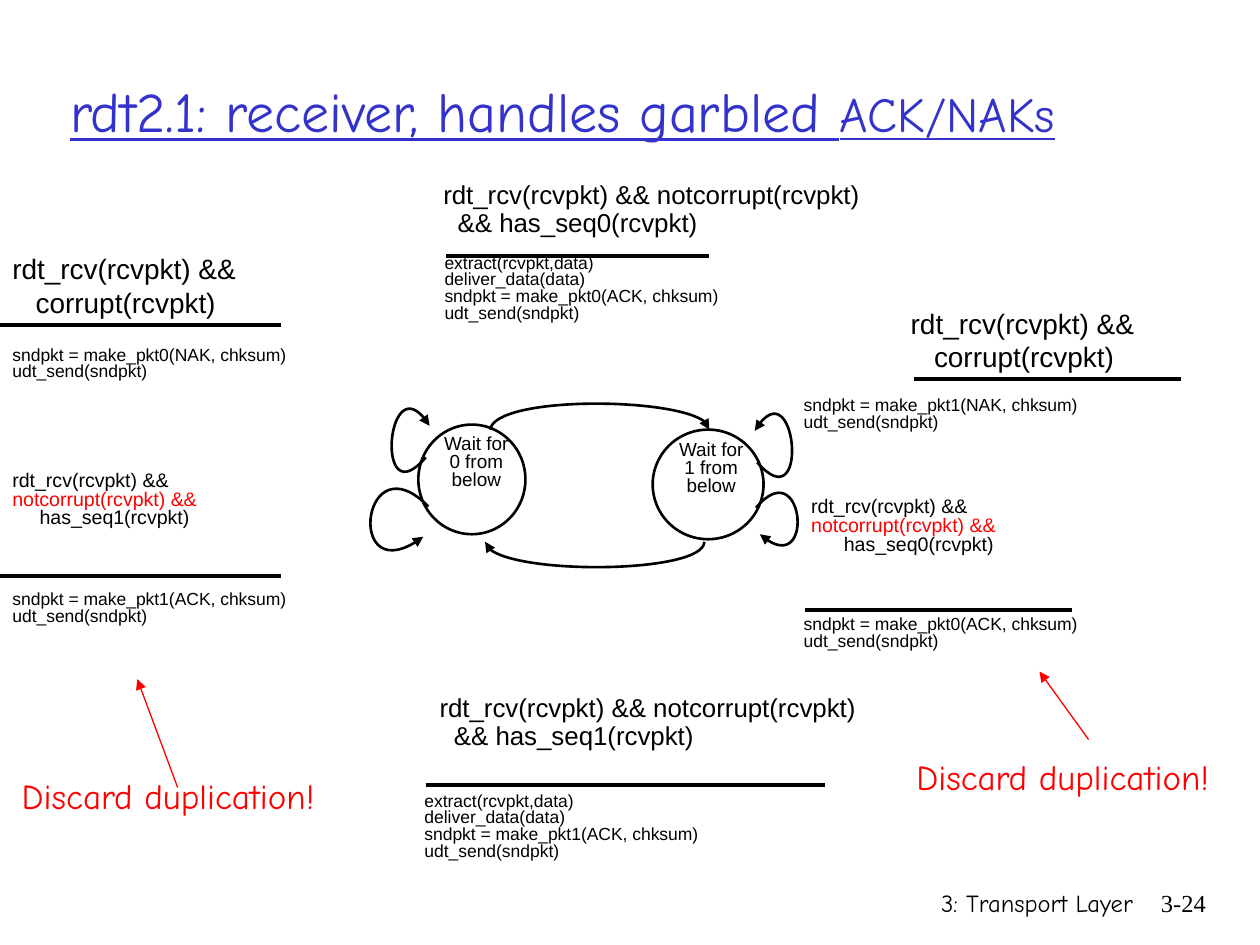
from lxml import etree
from pptx import Presentation
from pptx.dml.color import RGBColor
from pptx.enum.shapes import MSO_CONNECTOR, MSO_SHAPE
from pptx.enum.text import MSO_ANCHOR, PP_ALIGN
from pptx.oxml.ns import qn
from pptx.util import Inches, Pt

BLACK, WHITE, RED, BLUE = "000000", "FFFFFF", "FF0000", "3333CC"
BODY, HAND, SERIF = "Arial", "Comic Neue", "Times New Roman"


def color(hex_code):
    return RGBColor.from_string(hex_code)


def unit(count):
    """Length of a number of grid columns or rows (100 x 75 on the slide)."""
    return Inches(count / 10)


class Diagram:
    def __init__(self, slide):
        self.shapes = slide.shapes

    def text(self, box, lines, size, font=BODY, ink=BLACK, spacing=None,
             align=PP_ALIGN.LEFT, wrap=True, anchor=MSO_ANCHOR.TOP):
        """Each line is a string, or (string, colour, indent in columns)."""
        frame = self.shapes.add_textbox(*map(unit, box)).text_frame
        frame.word_wrap = wrap
        frame.vertical_anchor = anchor
        for number, line in enumerate(lines):
            words, line_ink, indent = (line, ink, 0) if isinstance(line, str) else line
            paragraph = frame.paragraphs[0] if number == 0 else frame.add_paragraph()
            if indent:
                paragraph._p.get_or_add_pPr().set("marL", str(unit(indent)))
            paragraph.alignment = align
            if spacing:
                paragraph.line_spacing = spacing
            paragraph.add_run().text = words
            paragraph.font.name = font
            paragraph.font.size = Pt(size)
            paragraph.font.color.rgb = color(line_ink)
        return frame

    def state(self, circle, label, lines):
        oval = self.shapes.add_shape(MSO_SHAPE.OVAL, *map(unit, circle))
        oval.shadow.inherit = False
        oval.fill.solid()
        oval.fill.fore_color.rgb = color(WHITE)
        self.stroke(oval, BLACK, 1.5)
        self.text(label, lines, 10.8, spacing=0.8, align=PP_ALIGN.CENTER)

    def stroke(self, shape, ink, width, arrow=False):
        shape.line.color.rgb = color(ink)
        shape.line.width = Pt(width)
        if arrow:
            tail = etree.SubElement(shape.line._get_or_add_ln(), qn("a:tailEnd"))
            tail.set("type", "triangle")

    def line(self, start, end, ink=BLACK, width=2.25, arrow=False):
        connector = self.shapes.add_connector(
            MSO_CONNECTOR.STRAIGHT, *map(unit, start + end))
        self.stroke(connector, ink, width, arrow)
        etree.SubElement(connector._element.spPr, qn("a:effectLst"))

    def curve(self, start, *bends_and_end):
        """Cubic arrow: start, two control points, end."""
        builder = self.shapes.build_freeform(*map(unit, start))
        builder.add_line_segments(
            [tuple(map(unit, point)) for point in bends_and_end], close=False)
        arc = builder.convert_to_shape()
        arc.shadow.inherit = False
        arc.fill.background()
        self.stroke(arc, BLACK, 1.5, arrow=True)
        # Turn the three straight segments into one Bezier segment
        path = next(arc._element.iter(qn("a:path")))
        bezier = etree.SubElement(path, qn("a:cubicBezTo"))
        for segment in path.findall(qn("a:lnTo")):
            bezier.append(segment[0])
            path.remove(segment)

    def action(self, left, top, width, lines):
        self.text((left, top, width, 1.7 * len(lines) + 1.1), lines, 10, spacing=0.8)


def send(sequence, reply):
    return [f"sndpkt = make_pkt{sequence}({reply}, chksum)", "udt_send(sndpkt)"]


def deliver(sequence):
    return ["extract(rcvpkt,data)", "deliver_data(data)"] + send(sequence, "ACK")


def main():
    deck = Presentation()
    deck.slide_width, deck.slide_height = unit(100), unit(75)
    diagram = Diagram(deck.slides.add_slide(deck.slide_layouts[6]))

    # Footer and title
    diagram.text((59.2, 70, 31.7, 5), ["3: Transport Layer"], 14, HAND,
                 align=PP_ALIGN.RIGHT)
    diagram.text((89.3, 70, 7.4, 5), ["3-24"], 14, SERIF, align=PP_ALIGN.RIGHT)
    title = diagram.text((4.6, 2.5, 91, 12.5), ["rdt2.1: receiver, handles garbled "],
                         32, HAND, BLUE, anchor=MSO_ANCHOR.MIDDLE).paragraphs[0]
    title.font.underline = True
    replies = title.add_run()
    replies.text = "ACK/NAKs"
    replies.font.size = Pt(28)
    for run in title.runs:
        run.font.underline = True

    # States
    diagram.state((33.2, 33.7, 8.5, 8.7), (33.4, 34.1, 8.8, 6.7),
                  ["Wait for", "0 from below"])
    diagram.state((51.8, 34.1, 8.8, 8.7), (52.1, 34.6, 8.7, 6.7),
                  ["Wait for", "1 from below"])

    # Transitions between the states, then loops on each state
    for points in (
        ((38.9, 34.1), (39.3, 31.4), (56.3, 31.5), (56.3, 34.1)),
        ((55.9, 43), (55.9, 45.5), (38.8, 45.7), (38.5, 43)),
        ((33.8, 36.3), (29.8, 41), (30.7, 28.4), (34.1, 33.8)),
        ((34, 40.2), (28.8, 34.9), (27.3, 47.3), (33.6, 42.6)),
        ((60.1, 36.7), (64.2, 41.4), (63.2, 28.8), (59.9, 34.2)),
        ((60, 40.3), (63.7, 35.9), (64.8, 46.3), (60.3, 42.4)),
    ):
        diagram.curve(*points)

    # Good packet with the expected number
    for left, top, sequence in ((34.2, 14, 0), (33.9, 54.7, 1)):
        diagram.text((left, top, 43, 6.3),
                     ["rdt_rcv(rcvpkt) && notcorrupt(rcvpkt)",
                      (f"&& has_seq{sequence}(rcvpkt)", BLACK, 1.14)],
                     14.8, spacing=0.9)
    diagram.action(34.3, 19.8, 38, deliver(0))
    diagram.action(32.7, 62.5, 42.1, deliver(1))

    # Corrupt packet
    for left, top, width in ((0, 19.5, 26.6), (71.3, 23.8, 28.7)):
        diagram.text((left, top, width, 6.8),
                     ["rdt_rcv(rcvpkt) &&", ("corrupt(rcvpkt)", BLACK, 1.85)], 16)
    diagram.action(0, 27.1, 39.1, send(0, "NAK"))
    diagram.action(62.8, 31.1, 37.2, send(1, "NAK"))

    # Duplicate packet
    for left, top, width, sequence, indent in ((0, 37, 26.6, 1, 2.16),
                                               (63.4, 39.1, 28.7, 0, 2.59)):
        diagram.text((left, top, width, 6.7),
                     ["rdt_rcv(rcvpkt) &&", ("notcorrupt(rcvpkt) &&", RED, 0),
                      (f"has_seq{sequence}(rcvpkt)", BLACK, indent)],
                     11.2, spacing=0.8)
    diagram.action(0, 46.5, 39.1, send(1, "ACK"))
    diagram.action(62.8, 48.5, 37.2, send(0, "ACK"))

    # Rules between event and action
    for left, right, row in ((35.4, 56.3, 20.3), (33.8, 65.5, 62.3),
                             (0, 22.3, 25.8), (72.5, 93.7, 30.1),
                             (0, 22.3, 45.7), (63.9, 85.1, 48.4)):
        diagram.line((left, row), (right, row))

    # Remarks on duplicates
    for left, top, start, end in ((0.7, 61, (14.1, 62.5), (10.9, 53.9)),
                                  (71.7, 59.5, (86.4, 58.7), (82.5, 53.3))):
        diagram.text((left, top, 25.3, 4.4), ["Discard duplication!"], 20, HAND, RED,
                     align=PP_ALIGN.CENTER, wrap=False)
        diagram.line(start, end, RED, 0.75, arrow=True)

    deck.save("out.pptx")


if __name__ == "__main__":
    main()
